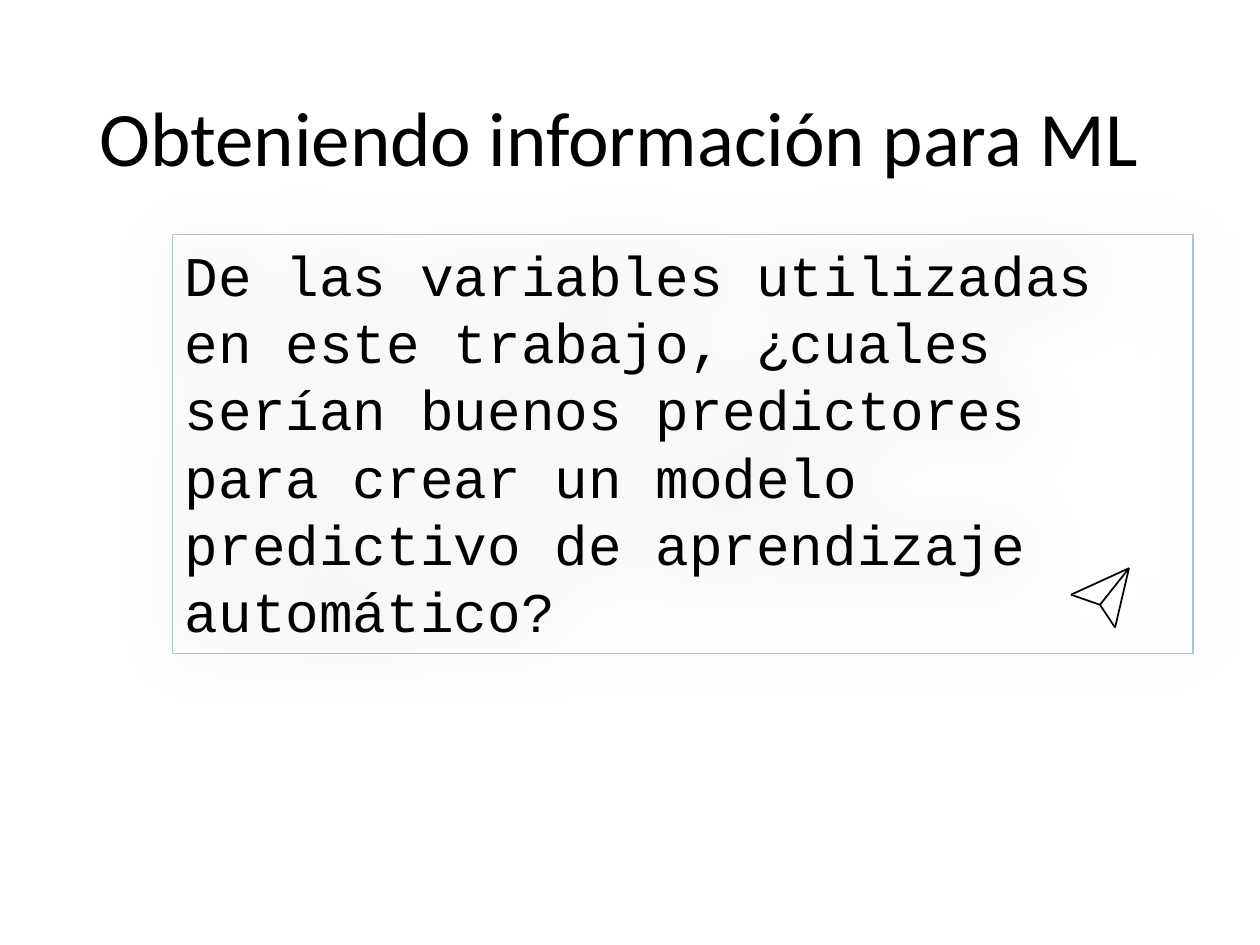
from dataclasses import dataclass

import pptx
import pptx.dml.color
import pptx.enum.shapes
import pptx.enum.text
import pptx.oxml
import pptx.oxml.ns
import pptx.util

Pt = pptx.util.Pt
RGB = pptx.dml.color.RGBColor
Anchor = pptx.enum.text.MSO_ANCHOR


@dataclass(frozen=True)
class Theme:
    ink: RGB = RGB(0x00, 0x00, 0x00)
    frame: RGB = RGB(0xAB, 0xC0, 0xE4)
    title_font: str = "Calibri"
    title_size: float = 44
    body_font: str = "Courier New"
    body_size: float = 32
    frame_width: float = 0.75
    icon_width: float = 1


@dataclass(frozen=True)
class Box:
    left: float
    top: float
    width: float
    height: float

    def lengths(self) -> tuple:
        return Pt(self.left), Pt(self.top), Pt(self.width), Pt(self.height)


@dataclass(frozen=True)
class Point:
    x: float
    y: float


THEME = Theme()


def write(sp, text: str, *, font: str, size: float, color: RGB = THEME.ink,
          anchor=Anchor.TOP, spacing: float = 1.0) -> None:
    tf = sp.text_frame
    tf.word_wrap = True
    tf.vertical_anchor = anchor
    p = tf.paragraphs[0]
    p.alignment = pptx.enum.text.PP_ALIGN.LEFT
    p.line_spacing = spacing
    r = p.add_run()
    r.text = text
    r.font.name = font
    r.font.size = Pt(size)
    r.font.color.rgb = color


def add_shadow(sp, color: RGB, *, blur: float, distance: float,
               angle: float, opacity: float) -> None:
    sp.shadow.inherit = False
    effects = sp._element.spPr.find(pptx.oxml.ns.qn("a:effectLst"))
    effects.append(pptx.oxml.parse_xml(
        f'<a:outerShdw {pptx.oxml.ns.nsdecls("a")} blurRad="{Pt(blur)}" '
        f'dist="{Pt(distance)}" dir="{int(angle * 60000)}" algn="ctr" '
        f'rotWithShape="0"><a:srgbClr val="{color}">'
        f'<a:alpha val="{int(opacity * 1000)}"/></a:srgbClr></a:outerShdw>'))


def add_edge(shapes, start: Point, end: Point) -> None:
    line = shapes.add_connector(
        pptx.enum.shapes.MSO_CONNECTOR.STRAIGHT,
        Pt(start.x), Pt(start.y), Pt(end.x), Pt(end.y))
    line.line.color.rgb = THEME.ink
    line.line.width = Pt(THEME.icon_width)
    line._element.spPr.append(pptx.oxml.parse_xml(
        f'<a:effectLst {pptx.oxml.ns.nsdecls("a")}/>'))


def add_paper_plane(s) -> None:
    wing, nose = Point(612, 339.84), Point(645.12, 324.72)
    tail, fold = Point(637.2, 358.56), Point(628.56, 345.6)
    group = s.shapes.add_group_shape()
    for start, end in ((wing, nose), (nose, tail), (fold, nose),
                       (wing, fold), (fold, tail)):
        add_edge(group.shapes, start, end)


def main() -> None:
    prs = pptx.Presentation()
    prs.slide_width, prs.slide_height = Pt(720), Pt(540)
    s = prs.slides.add_slide(prs.slide_layouts[6])

    # Title
    title = s.shapes.add_textbox(*Box(49.68, 28.8, 620.64, 104.4).lengths())
    write(title, "Obteniendo información para ML", font=THEME.title_font,
          size=THEME.title_size, anchor=Anchor.MIDDLE, spacing=0.9)

    # Framed question
    question = s.shapes.add_shape(
        pptx.enum.shapes.MSO_SHAPE.RECTANGLE,
        *Box(98.64, 133.92, 583.2, 239.76).lengths())
    question.fill.background()
    question.line.color.rgb = THEME.frame
    question.line.width = Pt(THEME.frame_width)
    add_shadow(question, THEME.ink, blur=43, distance=2, angle=25, opacity=20)
    write(question,
          "De las variables utilizadas en este trabajo, ¿cuales serían buenos "
          "predictores para crear un modelo predictivo de aprendizaje "
          "automático?", font=THEME.body_font, size=THEME.body_size)
    question.text_frame.auto_size = pptx.enum.text.MSO_AUTO_SIZE.SHAPE_TO_FIT_TEXT

    # Paper plane icon
    add_paper_plane(s)

    prs.save("out.pptx")


if __name__ == "__main__":
    main()
